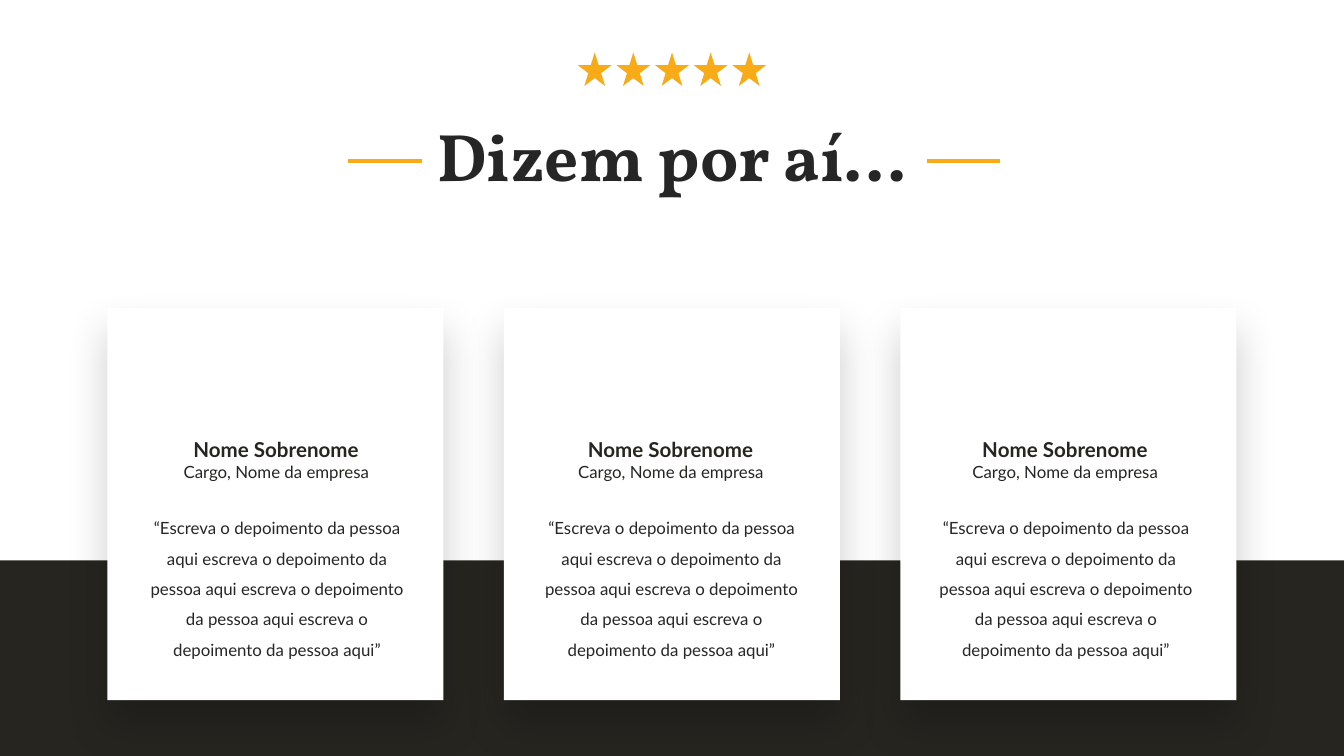
from dataclasses import dataclass
from lxml import etree
from pptx import Presentation, util as u
from pptx.dml.color import RGBColor
from pptx.enum import shapes, text
from pptx.oxml.ns import qn


@dataclass(frozen=True)
class Theme:
    dark: str = "262520"
    ink: str = "262626"
    gold: str = "F9AB17"
    white: str = "FFFFFF"
    shade: str = "000000"
    head: str = "Vollkorn"
    body: str = "Lato"
    title: int = 36
    name: int = 11
    small: int = 9


T = Theme()
WIDE = 10
HIGH = WIDE * 9 / 16
BAND = 4.17
CARDS, STARS = 3, 5
CARD_X, CARD_GAP = 0.8, 2.95
COPY_GAP = 5.87 / (CARDS - 1)
STAR_X, STAR_GAP = 4.3, 1.15 / (STARS - 1)
NAME = "Nome Sobrenome"
ROLE = "Cargo, Nome da empresa"
QUOTE = ("“Escreva o depoimento da pessoa aqui escreva o depoimento da pessoa "
         "aqui escreva o depoimento da pessoa aqui escreva o depoimento da "
         "pessoa aqui”")


def inches(*sizes):
    return [u.Inches(size) for size in sizes]


def add_block(home, kind, box, color):
    block = home.add_shape(kind, *inches(*box))
    block.shadow.inherit = False
    block.fill.solid()
    block.fill.fore_color.rgb = RGBColor.from_string(color)
    block.line.fill.background()
    return block


def cast_shadow(block):
    effects = block._element.spPr.find(qn("a:effectLst"))
    outer = etree.SubElement(
        effects, qn("a:outerShdw"), blurRad=str(u.Pt(23)),
        dist=str(u.Pt(12)), dir="5400000", algn="t", rotWithShape="0")
    color = etree.SubElement(outer, qn("a:srgbClr"), val=T.shade)
    etree.SubElement(color, qn("a:alpha"), val="20000")


def add_copy(slide, box, rows, face, color, space=None):
    frame = slide.shapes.add_textbox(*inches(*box)).text_frame
    frame.word_wrap = True
    frame.auto_size = text.MSO_AUTO_SIZE.SHAPE_TO_FIT_TEXT
    frame.text = "\n".join(row[0] for row in rows)
    for para, (_, size, bold) in zip(frame.paragraphs, rows):
        para.alignment = text.PP_ALIGN.CENTER
        if space:
            para.line_spacing = space
        font = para.runs[0].font
        font.name, font.size, font.bold = face, u.Pt(size), bold
        font.color.rgb = RGBColor.from_string(color)


def add_rule(slide, left, right, top):
    rule = slide.shapes.add_connector(
        shapes.MSO_CONNECTOR.STRAIGHT, *inches(left, top, right, top))
    rule.line.color.rgb = RGBColor.from_string(T.gold)
    rule.line.width = u.Pt(2)
    etree.SubElement(rule._element.spPr, qn("a:effectLst"))


def add_stars(slide):
    group = slide.shapes.add_group_shape()
    for col in range(STARS):
        add_block(group.shapes, shapes.MSO_SHAPE.STAR_5_POINT,
                  (STAR_X + col * STAR_GAP, 0.39, 0.25, 0.25), T.gold)


def add_card(slide, col):
    card = add_block(slide.shapes, shapes.MSO_SHAPE.RECTANGLE,
                     (CARD_X + col * CARD_GAP, 2.29, 2.5, 2.92), T.white)
    cast_shadow(card)


def add_review(slide, col):
    shift = col * COPY_GAP
    add_copy(slide, (1.09 + shift, 3.2, 1.93, 0.44),
             [(NAME, T.name, True), (ROLE, T.small, False)], T.body, T.dark)
    add_copy(slide, (0.95 + shift, 3.73, 2.22, 1.22),
             [(QUOTE, T.small, False)], T.body, T.ink, 1.5)


def main():
    deck = Presentation()
    deck.slide_width, deck.slide_height = inches(WIDE, HIGH)
    slide = deck.slides.add_slide(deck.slide_layouts[6])
    add_block(slide.shapes, shapes.MSO_SHAPE.RECTANGLE,
              (0, BAND, WIDE, HIGH - BAND), T.dark)
    for col in (1, 2, 0):
        add_card(slide, col)
    for col in range(CARDS):
        add_review(slide, col)
    add_copy(slide, (2.02, 0.8, 5.96, 0.71),
             [("Dizem por aí...", T.title, True)], T.head, T.ink)
    add_stars(slide)
    for left, right in ((2.59, 3.14), (6.9, 7.44)):
        add_rule(slide, left, right, 1.2)
    deck.save("out.pptx")


if __name__ == "__main__":
    main()
